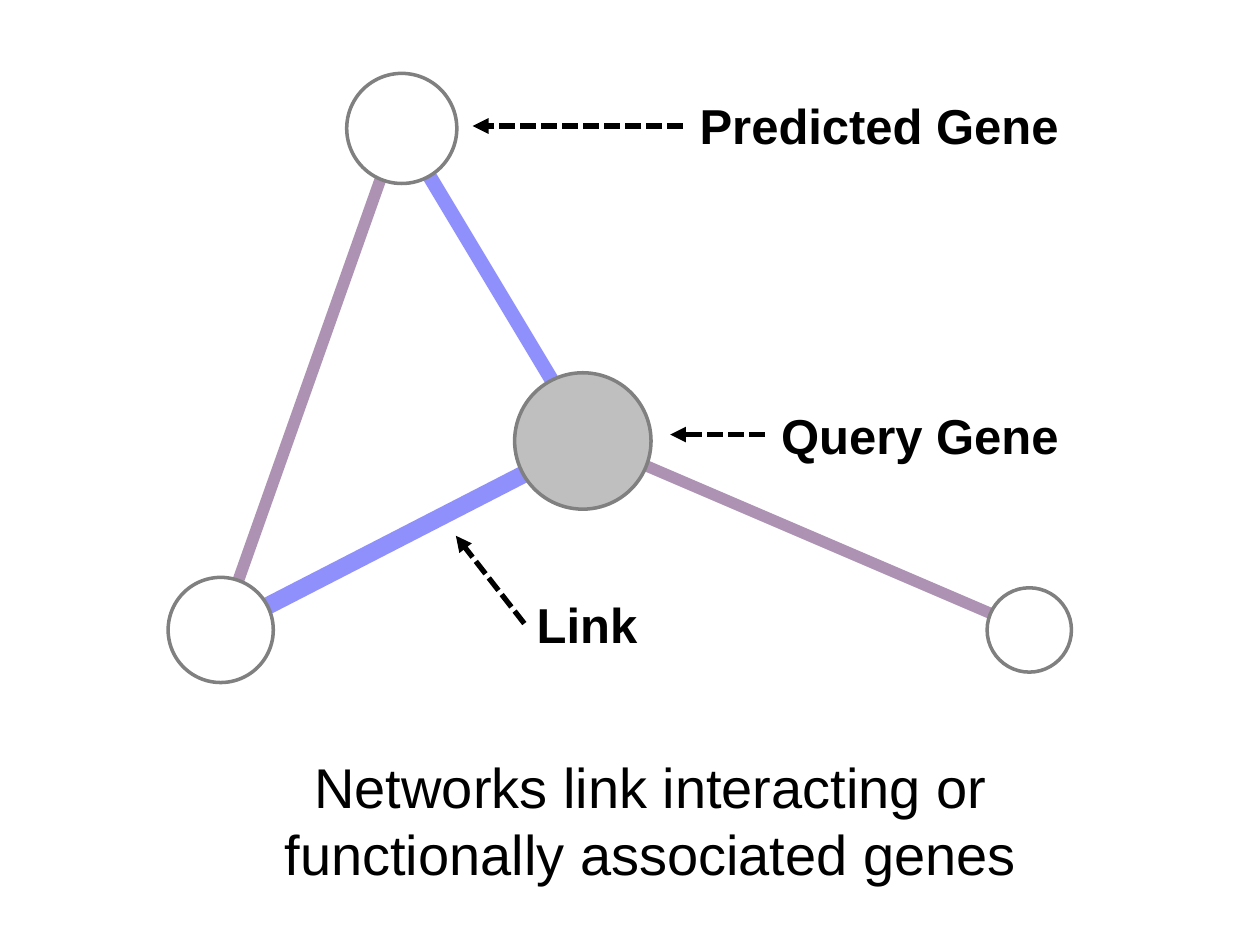
from lxml import etree
from pptx import Presentation
from pptx.dml.color import RGBColor
from pptx.enum.dml import MSO_LINE
from pptx.enum.shapes import MSO_CONNECTOR, MSO_SHAPE
from pptx.enum.text import MSO_ANCHOR, MSO_AUTO_SIZE, PP_ALIGN
from pptx.oxml.ns import qn
from pptx.util import Cm, Pt

STRAIGHT = MSO_CONNECTOR.STRAIGHT
OVAL = MSO_SHAPE.OVAL
DASH = MSO_LINE.SQUARE_DOT
LEFT, CENTER, RIGHT = PP_ALIGN.LEFT, PP_ALIGN.CENTER, PP_ALIGN.RIGHT
TOP = MSO_ANCHOR.TOP
GROW, FIXED = MSO_AUTO_SIZE.SHAPE_TO_FIT_TEXT, MSO_AUTO_SIZE.NONE

BLACK = RGBColor(0x00, 0x00, 0x00)
WHITE = RGBColor(0xFF, 0xFF, 0xFF)
SILVER = RGBColor(0xBF, 0xBF, 0xBF)
GRAY = RGBColor(0x80, 0x80, 0x80)
BLUE = RGBColor(0x62, 0x61, 0xFC)
PURPLE = RGBColor(0x8B, 0x65, 0x93)

FONT = "Arial"
TITLE_ONLY = 5

# Points where links meet, in centimetres
QUERY = (11.86, 8.89)
PREDICTED = (8.05, 2.54)
LEFT_GENE = (4.45, 12.7)
RIGHT_GENE = (20.75, 12.7)

# Start, end, colour, width in points
LINKS = [
    (QUERY, LEFT_GENE, BLUE, 10),
    (QUERY, PREDICTED, BLUE, 8.25),
    (RIGHT_GENE, QUERY, PURPLE, 6.5),
    (PREDICTED, LEFT_GENE, PURPLE, 6.75),
]

# Centre, diameter, fill
GENES = [
    ((11.75, 8.89), 2.75, SILVER),
    ((8.1, 2.59), 2.22, WHITE),
    (RIGHT_GENE, 1.7, WHITE),
    (LEFT_GENE, 2.12, WHITE),
]

# Text, box (left, top, width, height), alignment, arrow start, arrow end
LABELS = [
    ("Query Gene", (15.42, 8.05, 6.17, 1.45), RIGHT, (15.42, 8.76), (13.51, 8.76)),
    ("Predicted Gene", (13.77, 1.8, 7.82, 1.45), RIGHT, (13.77, 2.54), (9.53, 2.54)),
    ("Link", (10.57, 11.86, 2.57, 1.45), LEFT, (10.57, 12.57), (9.19, 10.8)),
]


def add_line(page, start, end, color, width):
    line = page.shapes.add_connector(STRAIGHT, *(Cm(value) for value in start + end))
    line.line.color.rgb = color
    line.line.width = Pt(width)
    etree.SubElement(line._element.spPr, qn("a:effectLst"))
    return line


def add_link(page, start, end, color, width):
    link = add_line(page, start, end, color, width)
    fill_color = link._element.spPr.find(".//" + qn("a:srgbClr"))
    etree.SubElement(fill_color, qn("a:alpha"), val="70000")


def add_arrow(page, start, end):
    arrow = add_line(page, start, end, BLACK, 3)
    arrow.line.dash_style = DASH
    outline = arrow._element.spPr.find(qn("a:ln"))
    etree.SubElement(outline, qn("a:tailEnd"), type="triangle")


def add_gene(page, center, diameter, fill):
    left, top = (value - diameter / 2 for value in center)
    gene = page.shapes.add_shape(OVAL, Cm(left), Cm(top), Cm(diameter), Cm(diameter))
    gene.shadow.inherit = False
    gene.fill.solid()
    gene.fill.fore_color.rgb = fill
    gene.line.color.rgb = GRAY
    gene.line.width = Pt(2)


def write_text(box, text, size=28, bold=False, align=LEFT, wrap=False, fit=GROW):
    frame = box.text_frame
    frame.word_wrap = wrap
    frame.auto_size = fit
    frame.vertical_anchor = TOP
    para = frame.paragraphs[0]
    para.alignment = align
    span = para.add_run()
    span.text = text
    span.font.name = FONT
    span.font.size = Pt(size)
    span.font.bold = bold
    span.font.color.rgb = BLACK


def add_label(page, text, place, align):
    box = page.shapes.add_textbox(*(Cm(value) for value in place))
    write_text(box, text, bold=True, align=align)


def set_caption(page, text):
    box = page.shapes.title
    box.left, box.top, box.width, box.height = Cm(4.93), Cm(15.04), Cm(16.38), Cm(3)
    write_text(box, text, size=32, align=CENTER, wrap=True, fit=FIXED)


def main():
    deck = Presentation()
    deck.slide_width, deck.slide_height = Cm(25.4), Cm(19.05)
    page = deck.slides.add_slide(deck.slide_layouts[TITLE_ONLY])

    # Network: links lie behind genes
    for link in LINKS:
        add_link(page, *link)
    for gene in GENES:
        add_gene(page, *gene)

    # Labels with their arrows
    for text, place, align, start, end in LABELS:
        add_label(page, text, place, align)
        add_arrow(page, start, end)

    # Caption
    set_caption(page, "Networks link interacting or functionally associated genes")

    deck.save("out.pptx")


main()
